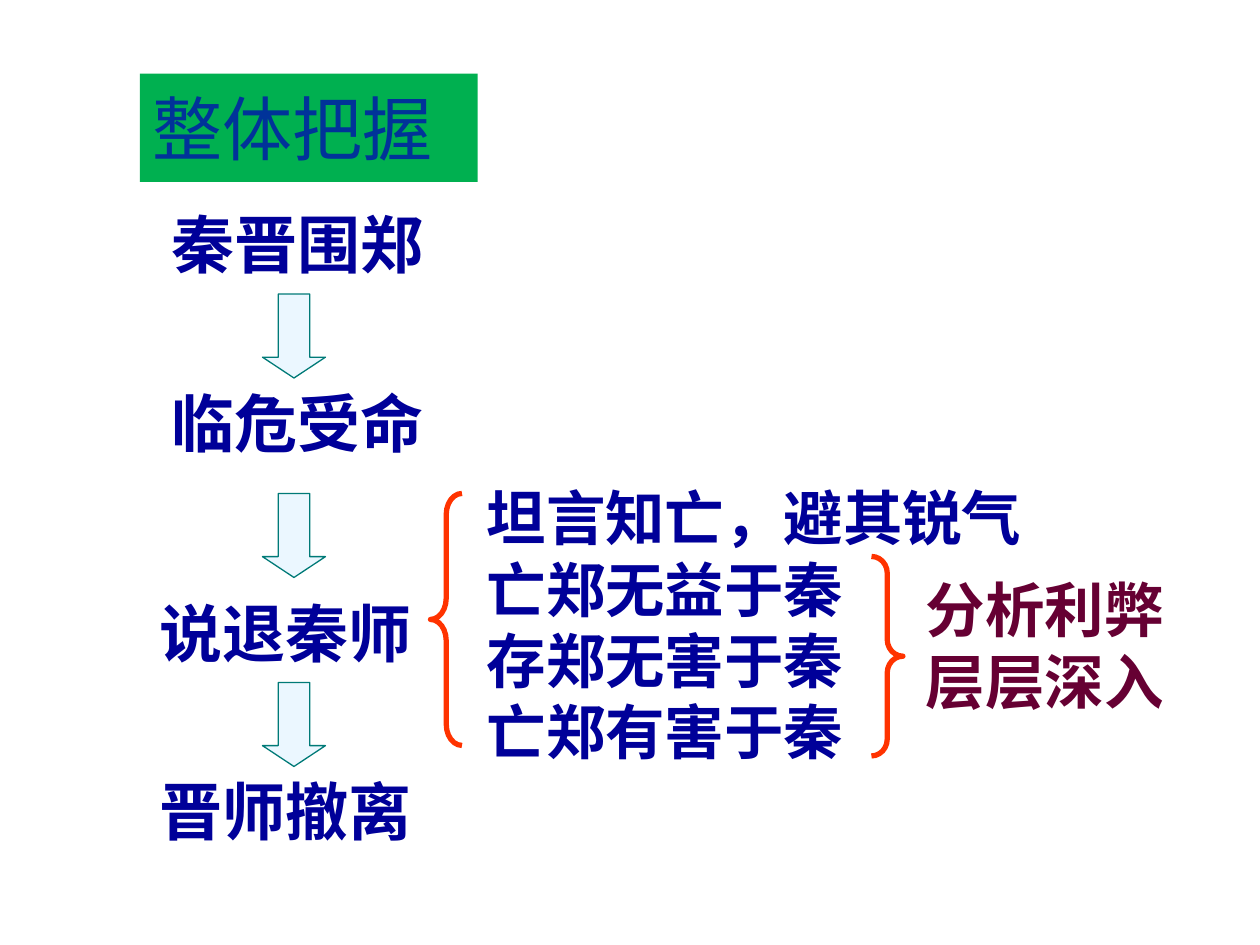
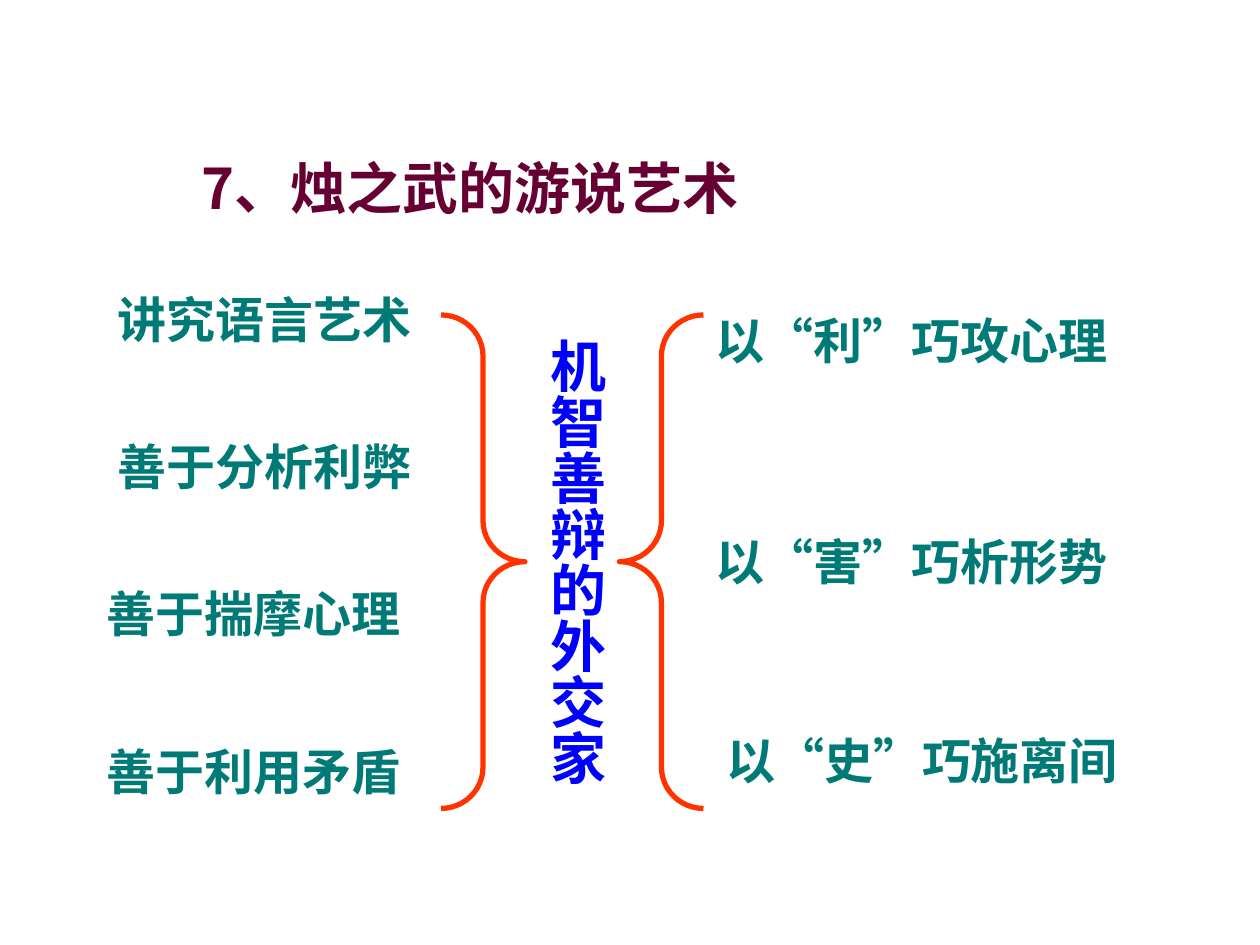
import pptx
import pptx.dml.color
import pptx.enum.lang
import pptx.enum.shapes
import pptx.enum.text
import pptx.oxml.ns
import pptx.util
from lxml import etree

Pt = pptx.util.Pt
SHAPES = pptx.enum.shapes.MSO_SHAPE
ALIGN = pptx.enum.text.PP_ALIGN
ANCHOR = pptx.enum.text.MSO_ANCHOR

ARIAL, NOTO, TIMES = "Arial", "Noto Sans CJK SC", "Times New Roman"
NAVY, PLUM, TEAL, ORANGE, BLUE = "000099", "660033", "007A77", "FF3300", "0000FF"
TITLE_BLUE, GREEN, PALE_BLUE = "003399", "00B050", "EBF7FF"

OVERVIEW_TITLE = "整体把握"
EVENTS = [("秦晋围郑", 91, 114), ("临危受命", 91, 216), ("说退秦师", 84, 336), ("晋师撤离", 84, 438)]
ARROW_TOPS = [168, 282, 390]
ARGUMENTS = ["坦言知亡，避其锐气", "亡郑无益于秦", "存郑无害于秦", "亡郑有害于秦"]
SUMMARY = ["分析利弊", "层层深入"]

ART_TITLE = "7、烛之武的游说艺术"
DIPLOMAT = "机智善辩的外交家"
SKILLS = [("讲究语言艺术", 60, 162), ("善于分析利弊", 60, 246), ("善于揣摩心理", 54, 330), ("善于利用矛盾", 54, 420)]
TACTICS = [("以“利”巧攻心理", 402, 174), ("以“害”巧析形势", 402, 300), ("以“史”巧施离间", 408, 414)]


def color(value):
    return pptx.dml.color.RGBColor.from_string(value)


def write(shape, lines, size, font_name, font_color, bold=True, align=ALIGN.LEFT,
          anchor=ANCHOR.TOP, wrap=True, vertical=False):
    frame = shape.text_frame
    frame.text = "\n".join(lines)
    frame.word_wrap = wrap
    frame.auto_size = pptx.enum.text.MSO_AUTO_SIZE.NONE
    frame.vertical_anchor = anchor
    horizontal_inset, vertical_inset = (3.6, 7.2) if vertical else (7.2, 3.6)
    frame.margin_left = frame.margin_right = Pt(horizontal_inset)
    frame.margin_top = frame.margin_bottom = Pt(vertical_inset)
    if vertical:
        frame._txBody.bodyPr.set("vert", "eaVert")
    for paragraph in frame.paragraphs:
        paragraph.alignment = align
        for run in paragraph.runs:
            run.font.size = Pt(size)
            run.font.bold = bold
            run.font.name = font_name
            run.font.color.rgb = color(font_color)
            run.font.language_id = pptx.enum.lang.MSO_LANGUAGE_ID.SIMPLIFIED_CHINESE
            east_asian = etree.SubElement(run._r.rPr, pptx.oxml.ns.qn("a:ea"))
            east_asian.set("typeface", NOTO)


def add_text(slide, lines, box, size, font_name, font_color, **options):
    shape = slide.shapes.add_textbox(*map(Pt, box))
    write(shape, lines, size, font_name, font_color, **options)


def add_titled_slide(presentation, title, box, size, font_name, font_color, **options):
    slide = presentation.slides.add_slide(presentation.slide_layouts[5])
    shape = slide.shapes.title
    shape.left, shape.top, shape.width, shape.height = map(Pt, box)
    write(shape, [title], size, font_name, font_color, **options)
    return slide


def add_outlined(slide, kind, box, adjustments, line_color, line_width, fill=None):
    shape = slide.shapes.add_shape(kind, *map(Pt, box))
    shape.shadow.inherit = False
    for index, value in enumerate(adjustments):
        shape.adjustments[index] = value
    shape.line.color.rgb = color(line_color)
    shape.line.width = Pt(line_width)
    if fill:
        shape.fill.solid()
        shape.fill.fore_color.rgb = color(fill)
    else:
        shape.fill.background()


def add_brace(slide, kind, box, curve):
    add_outlined(slide, kind, box, [curve, 0.5], ORANGE, 3)


def build_overview(presentation):
    slide = add_titled_slide(presentation, OVERVIEW_TITLE, (80, 42, 193, 62), 40, ARIAL,
                             TITLE_BLUE, bold=False, anchor=ANCHOR.MIDDLE)
    slide.shapes.title.fill.solid()
    slide.shapes.title.fill.fore_color.rgb = color(GREEN)
    for event, left, top in EVENTS:
        add_text(slide, [event], (left, top, 158, 50), 36, ARIAL, NAVY,
                 align=ALIGN.CENTER, wrap=False)
    for top in ARROW_TOPS:
        add_outlined(slide, SHAPES.DOWN_ARROW, (150, top, 36, 48), [0.5, 0.33],
                     TEAL, 0.75, PALE_BLUE)
    add_text(slide, ARGUMENTS, (271, 271.5, 320, 212), 34, ARIAL, NAVY, wrap=False)
    add_brace(slide, SHAPES.LEFT_BRACE, (246, 282, 18, 144), 0.67)
    add_brace(slide, SHAPES.RIGHT_BRACE, (498, 318, 18, 114), 0.53)
    add_text(slide, SUMMARY, (504, 324, 186, 89), 34, ARIAL, PLUM, align=ALIGN.CENTER)


def build_art(presentation):
    slide = add_titled_slide(presentation, ART_TITLE, (108, 84, 336, 46), 32, NOTO, PLUM)
    for items, width in ((SKILLS, 350), (TACTICS, 250)):
        for text, left, top in items:
            add_text(slide, [text], (left, top, width, 41), 28, NOTO, TEAL)
    add_text(slide, [DIPLOMAT], (300, 186, 52.5, 288), 32, TIMES, BLUE, vertical=True)
    for kind, left in ((SHAPES.RIGHT_BRACE, 252), (SHAPES.LEFT_BRACE, 354)):
        add_brace(slide, kind, (left, 180, 48, 282), 0.49)


def main():
    presentation = pptx.Presentation()
    presentation.slide_width, presentation.slide_height = Pt(720), Pt(540)
    build_overview(presentation)
    build_art(presentation)
    presentation.save("out.pptx")


if __name__ == "__main__":
    main()
